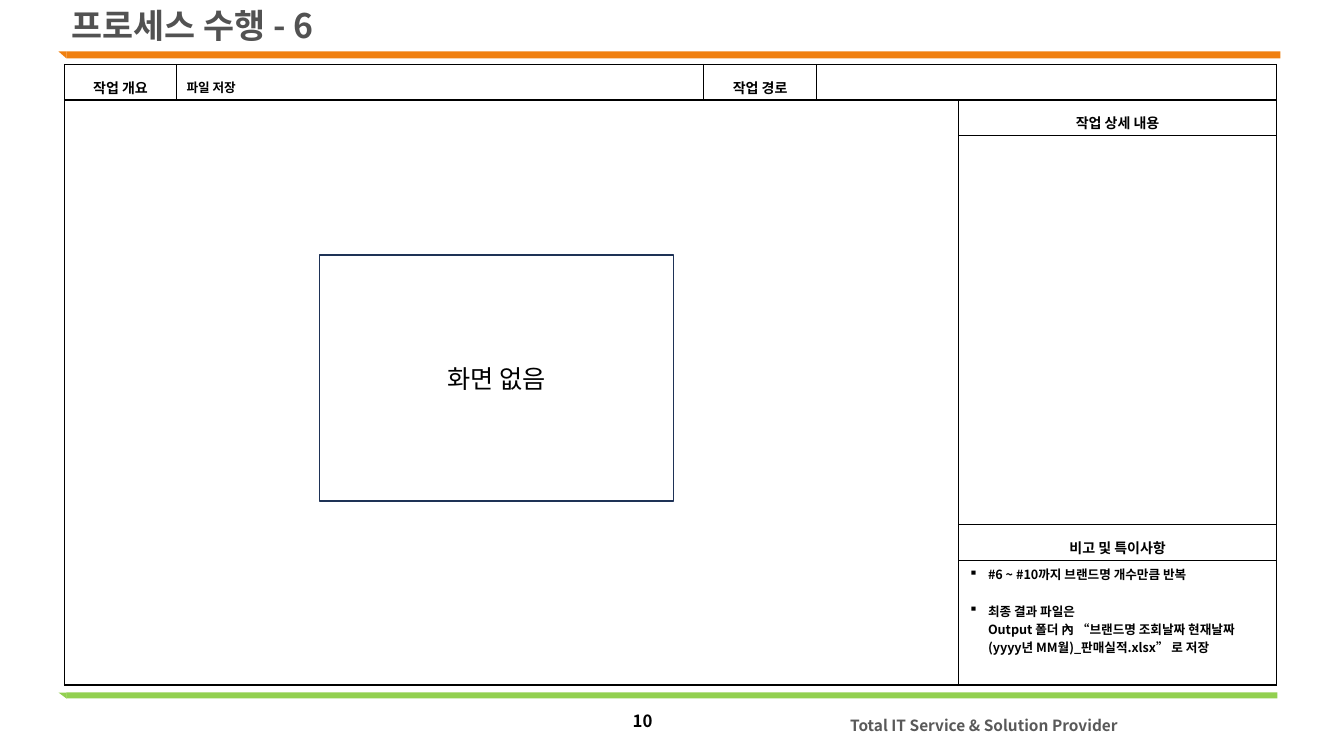
from dataclasses import dataclass

from lxml.etree import SubElement
from pptx import Presentation
from pptx.dml.color import RGBColor
from pptx.enum.shapes import MSO_SHAPE
from pptx.enum.text import MSO_ANCHOR, PP_ALIGN
from pptx.oxml.ns import qn
from pptx.util import Inches, Pt

WIDTH, HEIGHT = Inches(13.33), Inches(7.5)


@dataclass(frozen=True)
class Theme:
    font: str = "Noto Sans CJK KR"
    ink: str = "000000"
    paper: str = "FFFFFF"
    heading: str = "525252"
    slogan: str = "595959"
    orange: str = "F08010"
    green: str = "92D050"
    frame: str = "1E3256"
    title_size: float = 24.1
    screen_size: float = 18
    page_size: float = 12
    slogan_size: float = 11
    label_size: float = 10
    note_size: float = 9


THEME = Theme()


def across(percent):
    return round(WIDTH * percent / 100)


def down(percent):
    return round(HEIGHT * percent / 100)


def area(left, top, width, height):
    return across(left), down(top), across(width), down(height)


def write(frame, text, size, color=THEME.ink, bold=True, align=PP_ALIGN.LEFT,
          spacing=None, gap=0, bullet=None):
    for index, content in enumerate(text.split("\n")):
        line = frame.paragraphs[0] if index == 0 else frame.add_paragraph()
        line.alignment = align
        line.space_after = Pt(gap)
        if spacing:
            line.line_spacing = spacing
        if bullet:
            add_bullet(line, bullet)
        if not content:
            SubElement(line._p, qn("a:endParaRPr"), sz=str(int(size * 100)))
            continue
        for order, part in enumerate(content.split("\v")):
            if order:
                line.add_line_break()
            words = line.add_run()
            words.text = part
            words.font.name = THEME.font
            words.font.size = Pt(size)
            words.font.bold = bold
            words.font.color.rgb = RGBColor.from_string(color)
            SubElement(words.font._element, qn("a:ea"), typeface=THEME.font)


def add_bullet(line, mark):
    properties = line._p.get_or_add_pPr()
    properties.set("marL", str(Inches(0.19)))
    properties.set("indent", str(-Inches(0.19)))
    SubElement(properties, qn("a:buChar"), char=mark)


def add_label(slide, place, text, size, anchor=MSO_ANCHOR.MIDDLE, wrap=True,
              inset=True, **style):
    label = slide.shapes.add_textbox(*area(*place)).text_frame
    label.word_wrap = wrap
    label.vertical_anchor = anchor
    if not inset:
        label.margin_left = label.margin_right = 0
        label.margin_top = label.margin_bottom = 0
    write(label, text, size, **style)


def add_block(slide, kind, place, fill, outline=None):
    block = slide.shapes.add_shape(kind, *area(*place))
    block.shadow.inherit = False
    block.fill.solid()
    block.fill.fore_color.rgb = RGBColor.from_string(fill)
    if outline:
        block.line.color.rgb = RGBColor.from_string(outline)
        block.line.width = Pt(1)
    else:
        block.line.fill.background()
    return block


def add_band(slide, top, width, height, color):
    add_block(slide, MSO_SHAPE.RECTANGLE, (4.95, top, width, height), color)
    tip = add_block(slide, MSO_SHAPE.RIGHT_TRIANGLE, (4.35, top, 0.6, height), color)
    tip.rotation = 180


def style_cell(cell):
    properties = cell._tc.get_or_add_tcPr()
    for side in ("a:lnL", "a:lnR", "a:lnT", "a:lnB"):
        border = SubElement(properties, qn(side), w=str(Pt(1)))
        paint = SubElement(border, qn("a:solidFill"))
        SubElement(paint, qn("a:srgbClr"), val=THEME.ink)
    cell.fill.solid()
    cell.fill.fore_color.rgb = RGBColor.from_string(THEME.paper)
    cell.margin_top = cell.margin_bottom = Inches(0.02)
    cell.vertical_anchor = MSO_ANCHOR.MIDDLE


def add_worksheet(slide):
    columns = (8.33, 39.23, 8.4, 10.58, 23.63)
    rows = (4.7, 4.7, 51.47, 4.7, 16.53)
    place = area(4.8, 8.53, sum(columns), sum(rows))
    sheet = slide.shapes.add_table(len(rows), len(columns), *place).table
    for column, share in zip(sheet.columns, columns):
        column.width = across(share)
    for row, share in zip(sheet.rows, rows):
        row.height = down(share)
    for cell in sheet.iter_cells():
        style_cell(cell)
    sheet.cell(0, 3).merge(sheet.cell(0, 4))
    sheet.cell(1, 0).merge(sheet.cell(4, 3))

    headings = {(0, 0): "작업 개요", (0, 2): "작업 경로",
                (1, 4): "작업 상세 내용", (3, 4): "비고 및 특이사항"}
    for position, heading in headings.items():
        write(sheet.cell(*position).text_frame, heading, THEME.label_size,
              align=PP_ALIGN.CENTER, spacing=1.5)
    write(sheet.cell(0, 1).text_frame, "파일 저장", THEME.note_size, spacing=1.5)
    for position in ((0, 3), (1, 0), (2, 4)):
        write(sheet.cell(*position).text_frame, "", THEME.note_size)

    remarks = sheet.cell(4, 4)
    remarks.vertical_anchor = MSO_ANCHOR.TOP
    remarks.margin_top = Inches(0.05)
    write(remarks.text_frame,
          "#6 ~ #10까지 브랜드명 개수만큼 반복\n"
          "최종 결과 파일은\vOutput 폴더 內 “브랜드명 조회날짜 현재날짜"
          "(yyyy년 MM월)_판매실적.xlsx” 로 저장",
          THEME.note_size, gap=13, bullet="▪")


def add_screen(slide):
    screen = add_block(slide, MSO_SHAPE.RECTANGLE, (23.78, 33.73, 26.33, 32.53),
                       THEME.paper, THEME.frame)
    screen.text_frame.vertical_anchor = MSO_ANCHOR.MIDDLE
    write(screen.text_frame, "화면 없음", THEME.screen_size, bold=False,
          align=PP_ALIGN.CENTER)


def main():
    deck = Presentation()
    deck.slide_width, deck.slide_height = WIDTH, HEIGHT
    slide = deck.slides.add_slide(deck.slide_layouts[6])
    add_band(slide, 6.8, 90.32, 0.93, THEME.orange)
    add_band(slide, 91.6, 90.1, 0.8, THEME.green)
    add_label(slide, (63.24, 94.67, 19.95, 2.53),
              "Total IT Service & Solution Provider", THEME.slogan_size,
              wrap=False, inset=False, color=THEME.slogan, align=PP_ALIGN.RIGHT)
    add_label(slide, (4.58, 0, 38.48, 6.8), "프로세스 수행 - 6", THEME.title_size,
              anchor=MSO_ANCHOR.TOP, color=THEME.heading)
    add_worksheet(slide)
    add_label(slide, (46.14, 92.67, 3.15, 5.33), "10", THEME.page_size,
              align=PP_ALIGN.RIGHT)
    add_screen(slide)
    deck.save("out.pptx")


if __name__ == "__main__":
    main()
